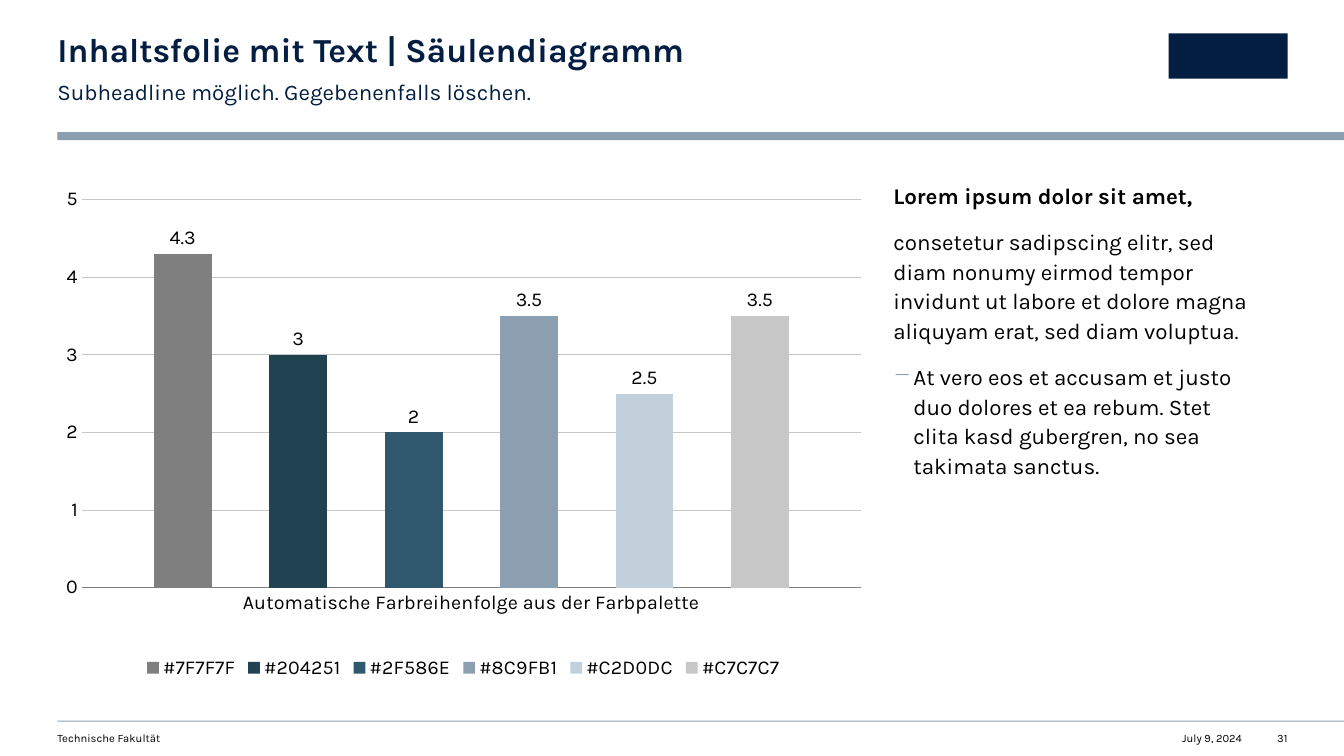
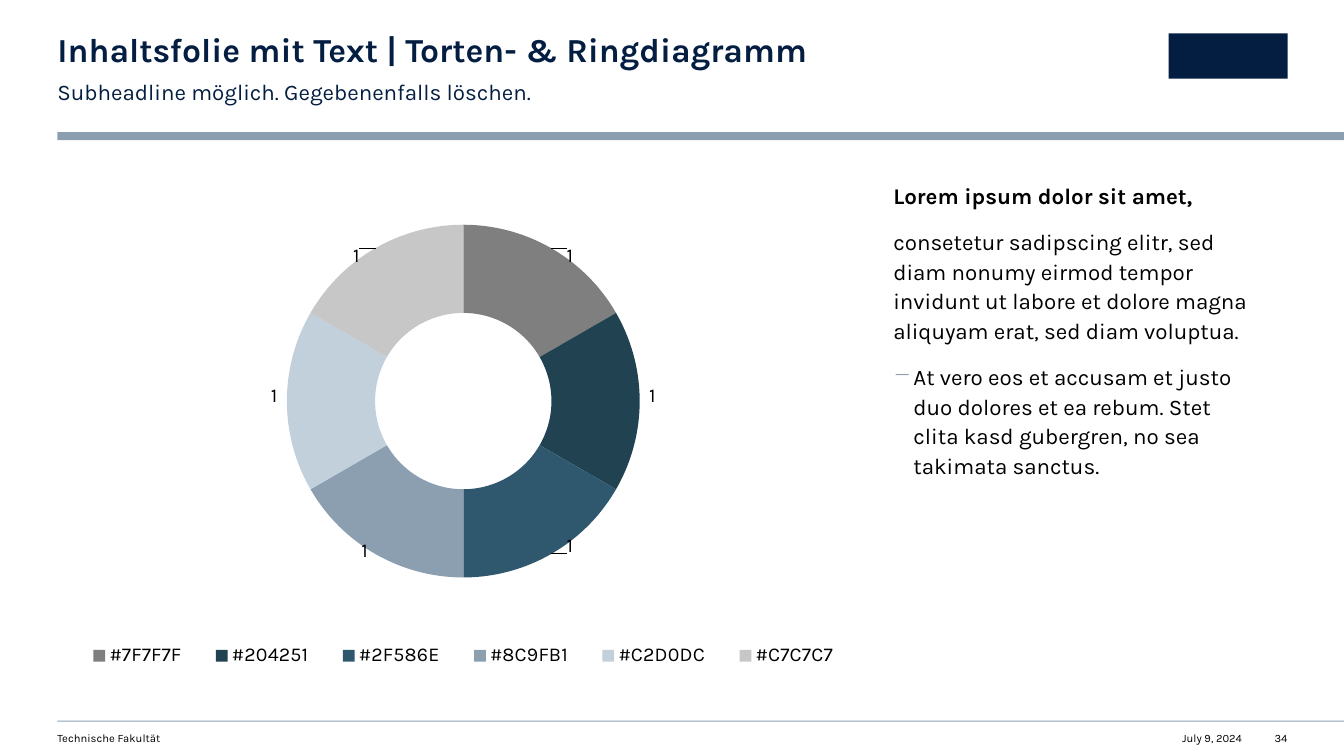
from copy import deepcopy

from pptx import Presentation
from pptx.chart.data import CategoryChartData
from pptx.dml.color import RGBColor
from pptx.enum.chart import XL_CHART_TYPE as Kind
from pptx.enum.chart import XL_LABEL_POSITION as Place
from pptx.enum.chart import XL_LEGEND_POSITION as Side
from pptx.enum.chart import XL_TICK_MARK as Tick
from pptx.enum.shapes import MSO_SHAPE as Form
from pptx.enum.text import PP_ALIGN as Align
from pptx.oxml import parse_xml
from pptx.oxml.ns import nsdecls, qn
from pptx.util import Inches, Pt

FONT = "Karla"
COLORS = {"navy": "041E42", "band": "8C9FB1", "text": "000000",
          "axis": "7F7F7F", "grid": "C7C7C7"}
PALETTE = ["7F7F7F", "204251", "2F586E", "8C9FB1", "C2D0DC", "C7C7C7"]
NAMES = ["#" + tone for tone in PALETTE]

SUBHEAD = "Subheadline möglich. Gegebenenfalls löschen."
FACULTY = "Technische Fakultät"
DATE = "July 9, 2024"
BODY = [
    "Lorem ipsum dolor sit amet,",
    "consetetur sadipscing elitr, sed diam nonumy eirmod tempor invidunt "
    "ut labore et dolore magna aliquyam erat, sed diam voluptua.",
    "At vero eos et accusam et justo duo dolores et ea rebum. "
    "Stet clita kasd gubergren, no sea takimata sanctus.",
]
COLUMNS = {
    "title": "Inhaltsfolie mit Text | Säulendiagramm",
    "page": "31",
    "axis": "Automatische Farbreihenfolge aus der Farbpalette",
    "values": [4.3, 3, 2, 3.5, 2.5, 3.5],
    "plot": (0.03, 0.04, 0.96, 0.77),
}
RING = {
    "title": "Inhaltsfolie mit Text | Torten- & Ringdiagramm",
    "page": "34",
    "values": [1] * 6,
    "plot": (0.21, 0.09, 0.58, 0.7),
    "legend": (0.01, 0.9, 0.98, 0.09),
    # Label shifts from the middle of each segment, as shares of the chart
    "shifts": [(0.05, -0.06), (0.07, -0.01), (0.05, 0.06),
               (-0.04, 0.07), (-0.07, -0.01), (-0.05, -0.06)],
}

LEFT, RIGHT, WIDE, HIGH = 0.57, 12.77, 13.33, 7.5
CHART = (LEFT, 1.78, 8.05, 5)


def rgb(tone):
    return RGBColor.from_string(tone)


def paint(form, tone):
    """Fill a shape or chart part and hide its outline."""
    form.fill.solid()
    form.fill.fore_color.rgb = rgb(tone)
    form.line.fill.background()


def style(font, size, tone="text", bold=False):
    font.name, font.size, font.bold = FONT, Pt(size), bold
    font.color.rgb = rgb(COLORS[tone])


def add_bar(slide, box, tone):
    bar = slide.shapes.add_shape(Form.RECTANGLE, *map(Inches, box))
    bar.shadow.inherit = False
    paint(bar, COLORS[tone])


def add_text(slide, box, lines, size, tone="text", bold=False,
             align=Align.LEFT, lead=1.0, after=0, inset=0):
    frame = slide.shapes.add_textbox(*map(Inches, box)).text_frame
    frame.word_wrap = True
    frame.margin_left = frame.margin_top = frame.margin_bottom = 0
    frame.margin_right = Inches(inset)
    frame.text = "\n".join(lines)
    for para in frame.paragraphs:
        para.alignment, para.line_spacing = align, lead
        para.space_after = Pt(after)
        for run in para.runs:
            style(run.font, size, tone, bold)
    return frame.paragraphs


def add_dash(para):
    props = para._p.get_or_add_pPr()
    props.set("marL", str(Inches(0.2)))
    props.set("indent", str(Inches(-0.2)))
    props.append(parse_xml(
        f'<a:buClr {nsdecls("a")}><a:srgbClr val="{COLORS["band"]}"/></a:buClr>'))
    props.append(parse_xml(f'<a:buChar {nsdecls("a")} char="−"/>'))


def add_base(deck, info):
    """Add a slide with everything both slides share."""
    slide = deck.slides.add_slide(deck.slide_layouts[6])
    for top, tall in ((1.31, 0.08), (7.15, 0.01)):
        add_bar(slide, (LEFT, top, WIDE - LEFT, tall), "band")
    add_bar(slide, (11.59, 0.33, 1.18, 0.45), "navy")
    add_text(slide, (LEFT, 0.33, 10, 0.36), [info["title"]], 24, "navy",
             bold=True, lead=0.9)
    add_text(slide, (LEFT, 0.75, 7.49, 0.27), [SUBHEAD], 16, "navy", lead=1.1)
    body = add_text(slide, (8.86, 1.78, 3.91, 5), BODY, 16, lead=1.1,
                    after=12, inset=0.39)
    body[0].runs[0].font.bold = True
    add_dash(body[2])
    foot = ((LEFT, 5.98, FACULTY, Align.LEFT),
            (11.32, 1, DATE, Align.RIGHT),
            (RIGHT - 0.4, 0.4, info["page"], Align.RIGHT))
    for left, width, words, align in foot:
        add_text(slide, (left, 7.26, width, 0.13), [words], 8, align=align)
    return slide


def make_layout(parts, inner=False):
    """Build a chart layout from x, y, w, h given as shares of the chart."""
    target = '<c:layoutTarget val="inner"/>' if inner else ""
    modes = "".join(f'<c:{side}Mode val="edge"/>' for side in "xy")
    sizes = "".join(f'<c:{key} val="{part}"/>' for key, part in zip("xywh", parts))
    return parse_xml(f'<c:layout {nsdecls("c")}><c:manualLayout>{target}{modes}'
                     f'{sizes}</c:manualLayout></c:layout>')


def add_chart(slide, kind, cats, series, info):
    data = CategoryChartData()
    data.categories = cats
    for name, values in series:
        data.add_series(name, values)
    chart = slide.shapes.add_chart(kind, *map(Inches, CHART), data).chart
    chart.has_title = False
    style(chart.font, 14)
    chart.has_legend = True
    chart.legend.position = Side.BOTTOM
    chart.legend.include_in_layout = False
    style(chart.legend.font, 14)
    area = chart._chartSpace.chart.plotArea
    for old in area.findall(qn("c:layout")):
        area.remove(old)
    area.insert(0, make_layout(info["plot"], inner=True))
    for item in chart.plots[0].series:
        labels = item.data_labels
        labels.show_value = True
        style(labels.font, 14)
    return chart


def add_columns(slide, info):
    series = [(name, [value]) for name, value in zip(NAMES, info["values"])]
    chart = add_chart(slide, Kind.COLUMN_CLUSTERED, [info["axis"]], series, info)
    plot = chart.plots[0]
    plot.gap_width, plot.overlap, plot.vary_by_categories = 250, -100, False
    for item, tone in zip(plot.series, PALETTE):
        paint(item.format, tone)
        item.data_labels.position = Place.OUTSIDE_END
    cat, val = chart.category_axis, chart.value_axis
    for axis in (cat, val):
        axis.major_tick_mark = axis.minor_tick_mark = Tick.NONE
        style(axis.tick_labels.font, 14)
    val.minimum_scale, val.maximum_scale, val.major_unit = 0, 5, 1
    val.format.line.fill.background()
    for line, tone in ((cat.format.line, "axis"),
                       (val.major_gridlines.format.line, "grid")):
        line.color.rgb, line.width = rgb(COLORS[tone]), Pt(0.5)


def shift_labels(labels, shifts):
    """Move each segment's label away from the middle of the segment."""
    root = labels._element
    look = root.find(qn("c:txPr"))
    flags = "".join(
        f'<c:show{key} val="{int(key == "Val")}"/>'
        for key in ("LegendKey", "Val", "CatName", "SerName", "Percent",
                    "BubbleSize"))
    for spot, (x, y) in enumerate(shifts):
        label = parse_xml(
            f'<c:dLbl {nsdecls("c")}><c:idx val="{spot}"/><c:layout>'
            f'<c:manualLayout><c:x val="{x}"/><c:y val="{y}"/>'
            f'</c:manualLayout></c:layout>{flags}</c:dLbl>')
        label.insert(2, deepcopy(look))
        root.insert(spot, label)


def add_ring(slide, info):
    chart = add_chart(slide, Kind.DOUGHNUT, NAMES,
                      [("Series 1", info["values"])], info)
    ring = chart.plots[0].series[0]
    for spot, tone in enumerate(PALETTE):
        paint(ring.points[spot].format, tone)
    shift_labels(ring.data_labels, info["shifts"])
    legend = chart.legend._element
    for old in legend.findall(qn("c:layout")):
        legend.remove(old)
    legend.find(qn("c:legendPos")).addnext(make_layout(info["legend"]))


def main():
    deck = Presentation()
    deck.slide_width, deck.slide_height = Inches(WIDE), Inches(HIGH)
    for info, draw in ((COLUMNS, add_columns), (RING, add_ring)):
        draw(add_base(deck, info), info)
    deck.save("out.pptx")


if __name__ == "__main__":
    main()
